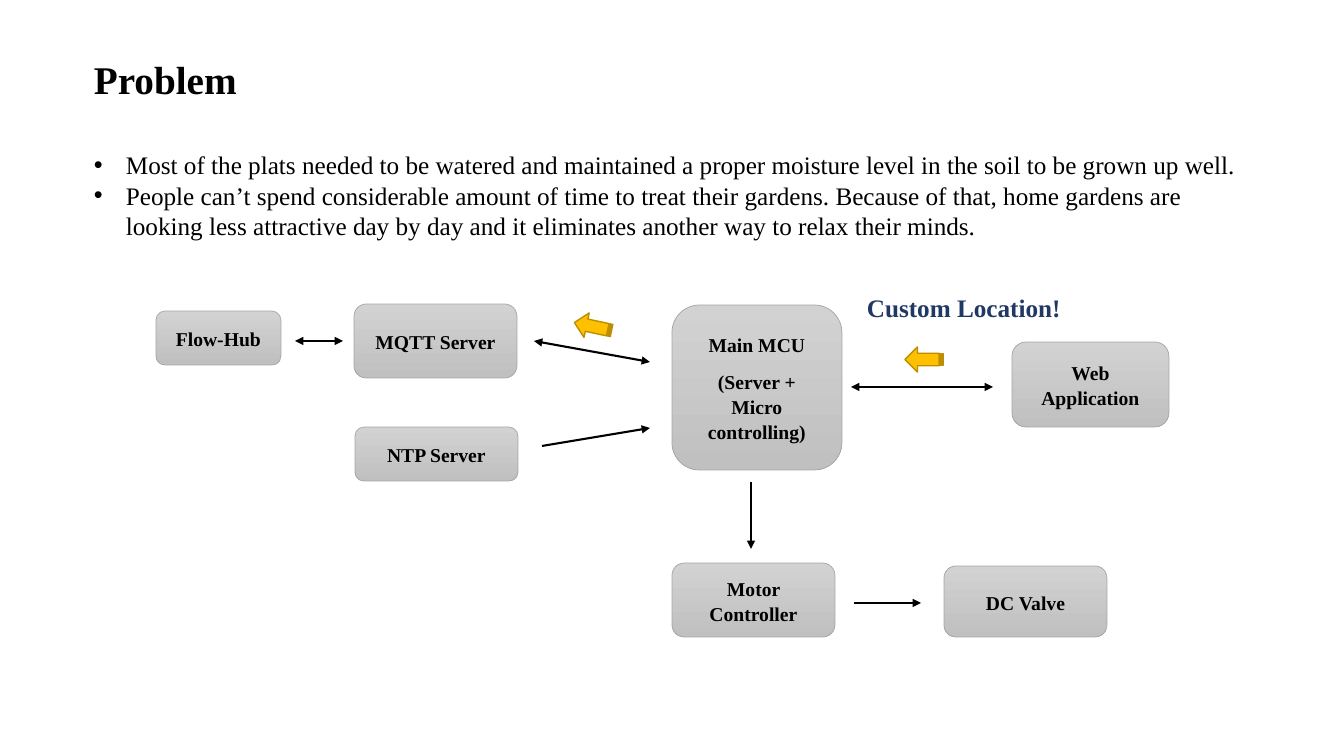
from pptx import Presentation, util as u
from pptx.dml.color import RGBColor
from pptx.enum import shapes, text
from pptx.oxml.ns import qn
from lxml import etree

FONT = "Times New Roman"
BODY = dict(line_spacing=1.07, space_after=u.Pt(8), alignment=text.PP_ALIGN.CENTER)


def px(n):
    return u.Emu(round(n * 914400 / 100.8))


def rgb(tone):
    return RGBColor.from_string(tone)


def assign(item, form):
    for key, val in form.items():
        setattr(item, key, val)


def write(para, words, size, bold=True, tone="000000", **form):
    run = para.add_run()
    run.text = words
    assign(run.font, dict(name=FONT, size=u.Pt(size), bold=bold))
    run.font.color.rgb = rgb(tone)
    assign(para, form)


def textbox(slide, box):
    frame = slide.shapes.add_textbox(*map(px, box)).text_frame
    frame.word_wrap = True
    return frame


def bullet(para):
    props = para._p.get_or_add_pPr()
    props.set("marL", str(px(32)))
    props.set("indent", str(-px(32)))
    etree.SubElement(props, qn("a:buFont")).set("typeface", "Arial")
    etree.SubElement(props, qn("a:buChar")).set("char", "•")


def shape(slide, kind, box, edge, width):
    item = slide.shapes.add_shape(kind, *map(px, box))
    item.shadow.inherit = False
    item.line.color.rgb = rgb(edge)
    item.line.width = u.Pt(width)
    return item


def node(slide, box, lines):
    item = shape(slide, shapes.MSO_SHAPE.ROUNDED_RECTANGLE, box, "A5A5A5", 0.5)
    item.fill.gradient()
    item.fill.gradient_angle = 270
    for stop, tone in zip(item.fill.gradient_stops, ("D2D2D2", "C0C0C0")):
        stop.color.rgb = rgb(tone)
    frame = item.text_frame
    assign(frame, dict(word_wrap=True, vertical_anchor=text.MSO_ANCHOR.MIDDLE,
                       margin_left=px(14), margin_right=px(14)))
    for i, words in enumerate(lines):
        para = frame.add_paragraph() if i else frame.paragraphs[0]
        write(para, words, 14, **BODY)


def arrow(slide, ends, both):
    link = slide.shapes.add_connector(shapes.MSO_CONNECTOR.STRAIGHT, *map(px, ends))
    link.line.color.rgb = rgb("000000")
    link.line.width = u.Pt(1.5)
    line = link.line._get_or_add_ln()
    for tag in ("a:headEnd", "a:tailEnd") if both else ("a:tailEnd",):
        etree.SubElement(line, qn(tag)).set("type", "triangle")
    etree.SubElement(link._element.spPr, qn("a:effectLst"))


def marker(slide, box, turn):
    item = shape(slide, shapes.MSO_SHAPE.STRIPED_RIGHT_ARROW, box, "BD8E00", 1)
    item.fill.solid()
    item.fill.fore_color.rgb = rgb("FFC000")
    item.rotation = turn


def problem(slide, box, title, points):
    frame = textbox(slide, box)
    write(frame.paragraphs[0], title, 28, space_after=u.Pt(34))
    for words in points:
        para = frame.add_paragraph()
        write(para, words, 18, bold=False)
        bullet(para)


def diagram(slide, left, top):
    def place(x, y, *size):
        return (left + x, top + y, *size)

    for box, turn in (((749, 60, 38, 25), 180), ((418, 27, 38, 25), 192)):
        marker(slide, place(*box), turn)
    label = textbox(slide, place(701, 0, 219, 40))
    write(label.paragraphs[0], "Custom Location!", 18, tone="203864")

    nodes = (
        ((516, 18, 170, 165), ("Main MCU", "(Server + Micro controlling)")),
        ((198, 17, 163, 74), ("MQTT Server",)),
        ((856, 55, 157, 85), ("Web Application",)),
        ((199, 140, 163, 54), ("NTP Server",)),
        ((516, 276, 163, 74), ("Motor Controller",)),
        ((788, 279, 163, 71), ("DC Valve",)),
        ((0, 24, 125, 54), ("Flow-Hub",)),
    )
    for box, lines in nodes:
        node(slide, place(*box), lines)

    links = (
        (378, 54, 494, 75, True),
        (695, 100, 837, 100, True),
        (187, 54, 139, 54, True),
        (386, 159, 494, 141, False),
        (595, 195, 595, 262, False),
        (698, 316, 765, 316, False),
    )
    for x, y, endx, endy, both in links:
        arrow(slide, place(x, y) + place(endx, endy), both)


deck = Presentation()
assign(deck, dict(slide_width=px(1344), slide_height=px(756)))
page = deck.slides.add_slide(deck.slide_layouts[6])
problem(page, (84, 50, 1175, 197), "Problem", (
    "Most of the plats needed to be watered and maintained a proper moisture "
    "level in the soil to be grown up well.",
    "People can’t spend considerable amount of time to treat their gardens. "
    "Because of that, home gardens are looking less attractive day by day and "
    "it eliminates another way to relax their minds.",
))
diagram(page, 156, 287)
deck.save("out.pptx")
